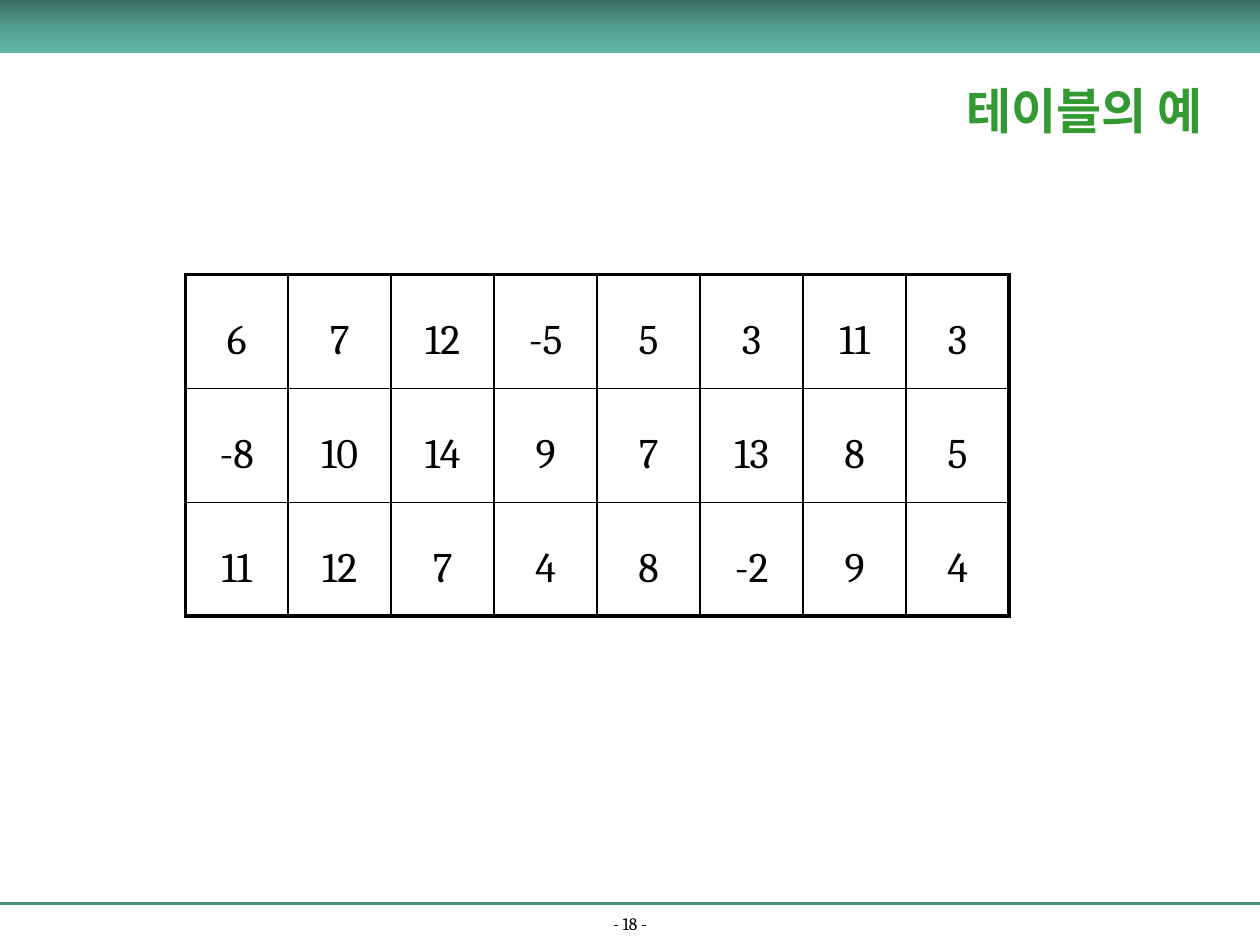
from copy import deepcopy

from lxml.etree import SubElement
from pptx import Presentation
from pptx.dml.color import RGBColor
from pptx.enum.shapes import MSO_CONNECTOR, MSO_SHAPE
from pptx.enum.text import MSO_ANCHOR, PP_ALIGN
from pptx.oxml.ns import qn
from pptx.util import Inches, Pt

FONT = "Cambria"
BLACK = "000000"
THIN, THICK = 1, 2.25
VALUES = [
    [6, 7, 12, -5, 5, 3, 11, 3],
    [-8, 10, 14, 9, 7, 13, 8, 5],
    [11, 12, 7, 4, 8, -2, 9, 4],
]


def rgb(color):
    """Turn a hex string into a colour."""
    return RGBColor.from_string(color)


def write(tf, text, size, color=BLACK, bold=False, line_spacing=None, before=None):
    """Put one centred, formatted paragraph into a text frame."""
    p = tf.paragraphs[0]
    p.alignment = PP_ALIGN.CENTER
    if line_spacing:
        p.line_spacing = line_spacing
    if before:
        p.space_before = Pt(before)
    r = p.add_run()
    r.text = text
    r.font.name = FONT
    r.font.size = Pt(size)
    r.font.bold = bold
    r.font.color.rgb = rgb(color)


def add_text(slide, text, x, y, w, h, anchor, **fmt):
    """Add a wrapping text box."""
    tf = slide.shapes.add_textbox(Inches(x), Inches(y), Inches(w), Inches(h)).text_frame
    tf.word_wrap = True
    tf.vertical_anchor = anchor
    write(tf, text, **fmt)


def add_band(slide, x, y, w, h, colors):
    """Add a rectangle with an even gradient from top to bottom."""
    sp = slide.shapes.add_shape(
        MSO_SHAPE.RECTANGLE, Inches(x), Inches(y), Inches(w), Inches(h))
    sp.shadow.inherit = False
    sp.line.fill.background()
    sp.fill.gradient()
    sp.fill.gradient_angle = 270
    stops = sp.fill._xPr.find(qn("a:gradFill")).find(qn("a:gsLst"))
    stops.append(deepcopy(stops[-1]))
    for i, (stop, color) in enumerate(zip(sp.fill.gradient_stops, colors)):
        stop.position = i / (len(colors) - 1)
        stop.color.rgb = rgb(color)


def add_rule(slide, x1, y1, x2, y2, color, width):
    """Add a straight line without a shadow."""
    line = slide.shapes.add_connector(
        MSO_CONNECTOR.STRAIGHT, Inches(x1), Inches(y1), Inches(x2), Inches(y2))
    line.line.color.rgb = rgb(color)
    line.line.width = Pt(width)
    SubElement(line._element.spPr, qn("a:effectLst"))


def set_borders(cell, **widths):
    """Draw black borders on a cell, given widths by side letter."""
    tcPr = cell._tc.get_or_add_tcPr()
    for side, width in widths.items():
        ln = SubElement(tcPr, qn(f"a:ln{side}"), w=str(Pt(width)))
        fill = SubElement(ln, qn("a:solidFill"))
        SubElement(fill, qn("a:srgbClr"), val=BLACK)


def add_grid(slide, values, x, y, w, h):
    """Add a table of numbers with a thick frame and thin inner lines."""
    rows, cols = len(values), len(values[0])
    table = slide.shapes.add_table(
        rows, cols, Inches(x), Inches(y), Inches(w), Inches(h)).table
    table.first_row = table.horz_banding = False
    for i, row in enumerate(values):
        for j, value in enumerate(row):
            cell = table.cell(i, j)
            set_borders(
                cell,
                L=THICK if j == 0 else THIN,
                R=THICK if j == cols - 1 else THIN,
                T=THICK if i == 0 else THIN,
                B=THICK if i == rows - 1 else THIN,
            )
            cell.fill.background()
            cell.vertical_anchor = MSO_ANCHOR.MIDDLE
            write(cell.text_frame, str(value), size=24, line_spacing=1.4, before=4.8)


def main():
    """Build the slide and save it."""
    prs = Presentation()
    prs.slide_width, prs.slide_height = Inches(10), Inches(7.5)
    slide = prs.slides.add_slide(prs.slide_layouts[6])
    add_rule(slide, 0, 7.17, 10, 7.17, "4C9282", 1.5)
    add_text(slide, "- 18 -", 0, 7.24, 10, 0.22, MSO_ANCHOR.BOTTOM, size=10)
    add_band(slide, 0, 0, 10, 0.42, ["3A6D62", "539C8B", "62B9A5"])
    add_grid(slide, VALUES, 1.47, 2.18, 6.54, 2.71)
    add_text(slide, "테이블의 예", 7.21, 0.42, 2.79, 0.9, MSO_ANCHOR.MIDDLE,
             size=28, color="339933", bold=True)
    prs.save("out.pptx")


if __name__ == "__main__":
    main()
